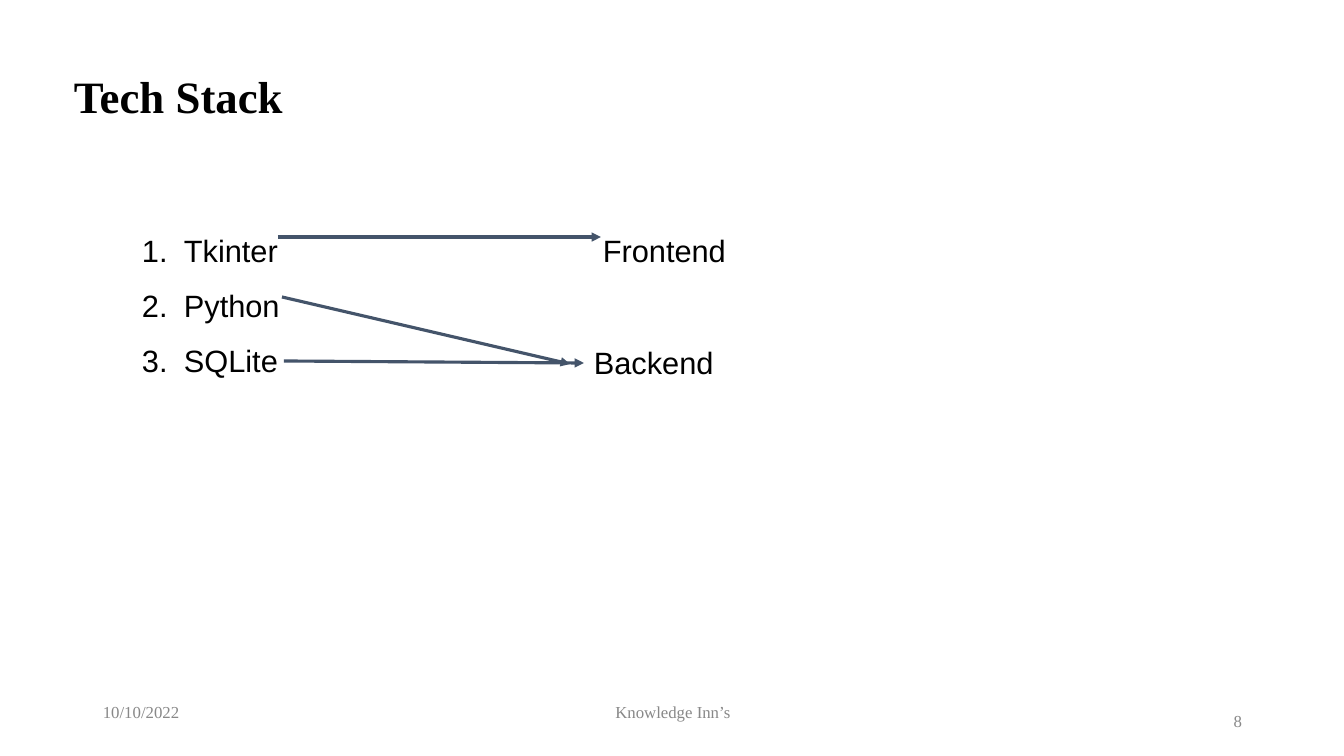
import pptx
import pptx.util
import pptx.dml.color
import pptx.enum.shapes
import pptx.enum.text
import pptx.oxml.ns
import lxml.etree

PX = 914400 / 100.8
ALIGN = pptx.enum.text.PP_ALIGN
MIDDLE = pptx.enum.text.MSO_ANCHOR.MIDDLE

THEME = {
    "ink": "000000", "muted": "888888", "arrow": "44546A",
    "title_size": 32, "body_size": 22, "footer_size": 12, "arrow_width": 2.25,
    "serif": "Times New Roman", "sans": "Arial",
}

TITLE = ("Tech Stack", (64, 26, 1159, 146))
STACK = (["Tkinter", "Python", "SQLite"], (124, 208, 300, 178))
ROLES = [
    ("Frontend", (593, 208, 160, 60), 1.5),
    ("Backend", (584, 339, 142, 48), 1),
]
ARROWS = [
    ((278, 237), (601, 237)),
    ((282, 297), (570, 364)),
    ((284, 361), (584, 363)),
]
FOOTERS = [
    ("10/10/2022", (93, 692, 302, 40), ALIGN.LEFT),
    ("Knowledge Inn’s", (446, 692, 454, 40), ALIGN.CENTER),
    ("8", (950, 701, 302, 40), ALIGN.RIGHT),
]


def emu(px):
    return pptx.util.Emu(round(px * PX))


def rgb(name):
    return pptx.dml.color.RGBColor.from_string(THEME[name])


def add_child(parent, tag, **attrs):
    return lxml.etree.SubElement(parent, pptx.oxml.ns.qn(tag), attrs)


def add_text(s, lines, box, size="body_size", font="sans", color="ink", bold=False,
             align=ALIGN.LEFT, anchor=pptx.enum.text.MSO_ANCHOR.TOP, spacing=1,
             numbered=False):
    sp = s.shapes.add_textbox(*map(emu, box))
    tf = sp.text_frame
    tf.word_wrap = True
    tf.vertical_anchor = anchor
    for i, line in enumerate(lines):
        p = tf.paragraphs[0] if i == 0 else tf.add_paragraph()
        p.alignment = align
        p.line_spacing = spacing
        if numbered:
            pPr = p._p.get_or_add_pPr()
            pPr.set("marL", str(emu(50)))
            pPr.set("indent", str(emu(-42)))
            add_child(pPr, "a:buFont", typeface=THEME[font])
            add_child(pPr, "a:buAutoNum", type="arabicPeriod")
        r = p.add_run()
        r.text = line
        r.font.name = THEME[font]
        r.font.size = pptx.util.Pt(THEME[size])
        r.font.bold = bold
        r.font.color.rgb = rgb(color)


def add_arrow(s, start, end):
    c = s.shapes.add_connector(pptx.enum.shapes.MSO_CONNECTOR.STRAIGHT,
                               *map(emu, start + end))
    c.line.color.rgb = rgb("arrow")
    c.line.width = pptx.util.Pt(THEME["arrow_width"])
    add_child(c.line._get_or_add_ln(), "a:tailEnd", type="triangle")
    add_child(c._element.spPr, "a:effectLst")


def main():
    prs = pptx.Presentation()
    prs.slide_width, prs.slide_height = emu(1344), emu(756)
    s = prs.slides.add_slide(prs.slide_layouts[6])

    title, box = TITLE
    add_text(s, [title], box, size="title_size", font="serif", bold=True,
             anchor=MIDDLE, spacing=0.9)
    names, box = STACK
    add_text(s, names, box, spacing=1.5, numbered=True)
    for role, box, spacing in ROLES:
        add_text(s, [role], box, spacing=spacing)
    for start, end in ARROWS:
        add_arrow(s, start, end)
    for text, box, align in FOOTERS:
        add_text(s, [text], box, size="footer_size", font="serif", color="muted",
                 align=align, anchor=MIDDLE)

    prs.save("out.pptx")


if __name__ == "__main__":
    main()
